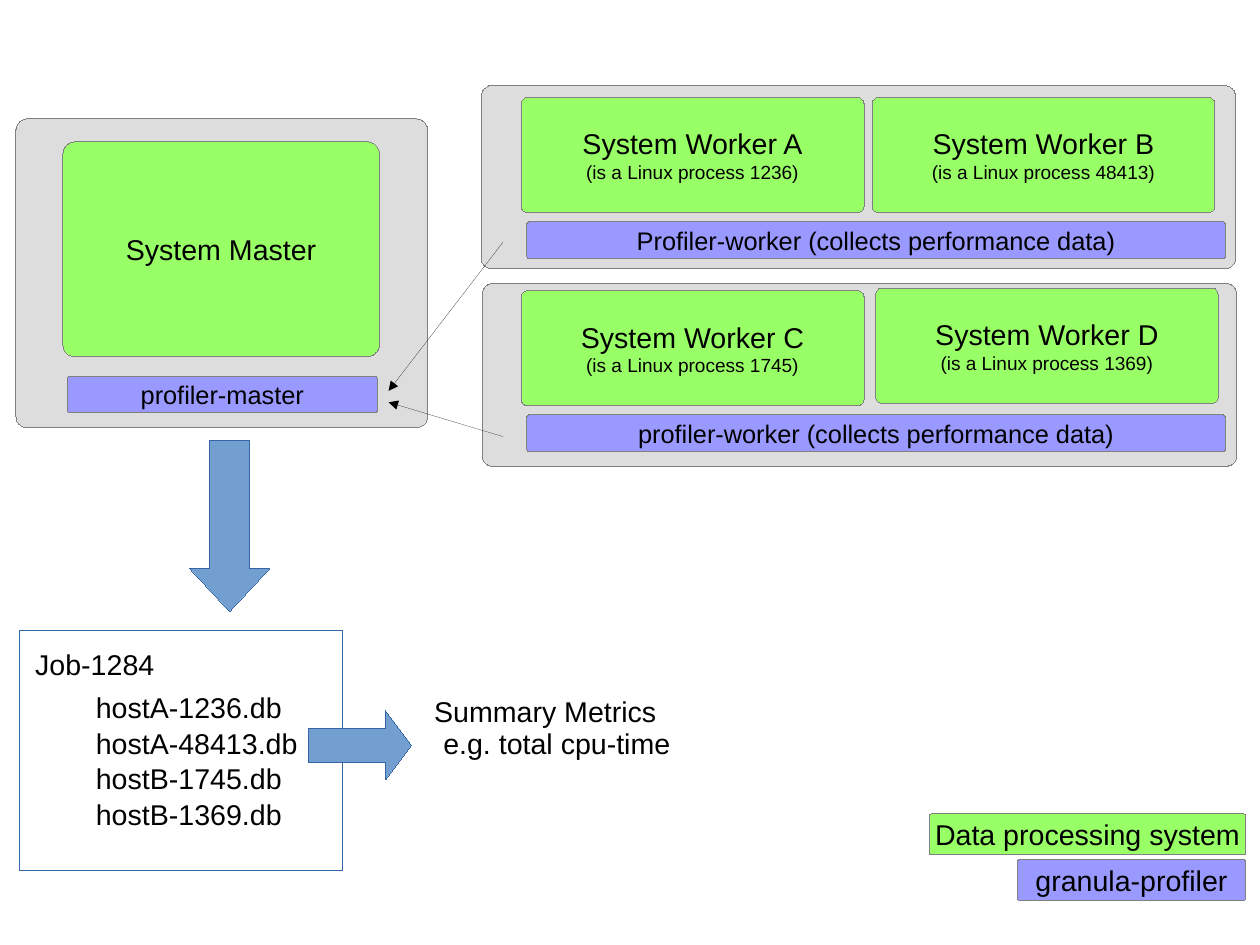
from lxml import etree
from pptx import Presentation
from pptx.dml.color import RGBColor
from pptx.enum.shapes import MSO_CONNECTOR, MSO_SHAPE
from pptx.enum.text import MSO_ANCHOR, PP_ALIGN
from pptx.oxml.ns import qn
from pptx.util import Cm, Inches, Pt

BLACK = RGBColor(0x00, 0x00, 0x00)
WHITE = RGBColor(0xFF, 0xFF, 0xFF)
GRAY = RGBColor(0xDD, 0xDD, 0xDD)
EDGE = RGBColor(0x80, 0x80, 0x80)
GREEN = RGBColor(0x99, 0xFF, 0x66)
PURPLE = RGBColor(0x99, 0x99, 0xFF)
BLUE = RGBColor(0x72, 0x9F, 0xCF)
NAVY = RGBColor(0x34, 0x65, 0xA4)
FONT = "Arial"
HAIRLINE = Pt(0.01)

# Content: places are (left, top, width, height) in inches
HOSTS = [
    ((0.14, 1.04, 3.6, 2.7), 0.035),
    ((4.21, 0.75, 6.6, 1.6), 0.057),
    ((4.22, 2.48, 6.6, 1.6), 0.057),
]
WORKERS = [
    ("A", 1236, 4.56, 0.85),
    ("B", 48413, 7.63, 0.85),
    ("C", 1745, 4.56, 2.54),
    ("D", 1369, 7.66, 2.52),
]
WORKER_SIZE = (3, 1.01)
PANELS = [
    ("System Master", (0.55, 1.24, 2.77, 1.88), GREEN, 18),
    ("profiler-master", (0.59, 3.29, 2.71, 0.32), PURPLE, 16),
    ("Profiler-worker (collects performance data)", (4.61, 1.94, 6.11, 0.32), PURPLE, 16),
    ("profiler-worker (collects performance data)", (4.61, 3.63, 6.11, 0.32), PURPLE, 16),
    ("Data processing system", (8.13, 7.12, 2.77, 0.36), GREEN, 18),
    ("granula-profiler", (8.9, 7.52, 2, 0.36), PURPLE, 18),
]
REPORTS = [((4.4, 2.12), (3.4, 3.42)), ((4.4, 3.82), (3.4, 3.52))]
JOB_FRAME = (0.17, 5.52, 2.83, 2.1)
DATABASES = [
    ("hostA-1236.db", 1.82),
    ("hostA-48413.db", 1.96),
    ("hostB-1745.db", 1.82),
    ("hostB-1369.db", 1.82),
]
DATABASE_LEFT, DATABASE_TOP, DATABASE_STEP = 0.74, 5.99, 0.31
LABELS = [
    ("Job-1284", 0.21, 5.61, 1.24),
    ("Summary Metrics", 3.7, 6.02, 2.14),
    ("e.g. total cpu-time", 3.78, 6.3, 2.18),
]
LABEL_HEIGHT = 0.38


def write(box, lines, align=PP_ALIGN.LEFT, anchor=MSO_ANCHOR.TOP, wrap=False, color=BLACK):
    """Fill a box with (text, size) lines."""
    frame = box.text_frame
    frame.word_wrap = wrap
    frame.vertical_anchor = anchor
    for index, (text, size) in enumerate(lines):
        para = frame.add_paragraph() if index else frame.paragraphs[0]
        para.alignment = align
        span = para.add_run()
        span.text = text
        span.font.name = FONT
        span.font.size = Pt(size)
        span.font.color.rgb = color


def add_box(page, kind, place, fill, edge, adjustments=(), lines=()):
    box = page.shapes.add_shape(kind, *map(Inches, place))
    box.shadow.inherit = False
    for index, value in enumerate(adjustments):
        box.adjustments[index] = value
    box.fill.solid()
    box.fill.fore_color.rgb = fill
    box.line.color.rgb = edge
    box.line.width = HAIRLINE
    if lines:
        write(box, lines, align=PP_ALIGN.CENTER, anchor=MSO_ANCHOR.MIDDLE)


def add_panel(page, place, fill, lines=(), rounding=0.057):
    add_box(page, MSO_SHAPE.ROUNDED_RECTANGLE, place, fill, EDGE, [rounding], lines)


def add_label(page, text, left, top, width):
    box = page.shapes.add_textbox(*map(Inches, (left, top, width, LABEL_HEIGHT)))
    box.text_frame.margin_right = 0
    write(box, [(text, 18)], wrap=True)


def add_report(page, start, end):
    arrow = page.shapes.add_connector(MSO_CONNECTOR.STRAIGHT, *map(Inches, start + end))
    arrow.line.color.rgb = BLACK
    arrow.line.width = HAIRLINE
    properties = arrow._element.spPr
    etree.SubElement(properties.find(qn("a:ln")), qn("a:tailEnd"), type="triangle")
    etree.SubElement(properties, qn("a:effectLst"))


def main():
    deck = Presentation()
    deck.slide_width, deck.slide_height = Cm(28), Cm(21)
    page = deck.slides.add_slide(deck.slide_layouts[6])

    # Hosts with their processes and profilers, and the legend
    for place, rounding in HOSTS:
        add_panel(page, place, GRAY, rounding=rounding)
    for text, place, fill, size in PANELS:
        add_panel(page, place, fill, [(text, size)])
    for name, process, left, top in WORKERS:
        lines = [(f"System Worker {name}", 18), (f"(is a Linux process {process})", 12)]
        add_panel(page, (left, top) + WORKER_SIZE, GREEN, lines)
    for start, end in REPORTS:
        add_report(page, start, end)

    # Job results and summary
    add_box(page, MSO_SHAPE.DOWN_ARROW, (1.66, 3.85, 0.7, 1.5), BLUE, NAVY, [0.5, 0.536])
    add_box(page, MSO_SHAPE.RECTANGLE, JOB_FRAME, WHITE, NAVY)
    for row, (text, width) in enumerate(DATABASES):
        add_label(page, text, DATABASE_LEFT, DATABASE_TOP + row * DATABASE_STEP, width)
    add_box(page, MSO_SHAPE.RIGHT_ARROW, (2.7, 6.22, 0.9, 0.6), BLUE, NAVY, [0.5, 0.375])
    for label in LABELS:
        add_label(page, *label)

    deck.save("out.pptx")


if __name__ == "__main__":
    main()
